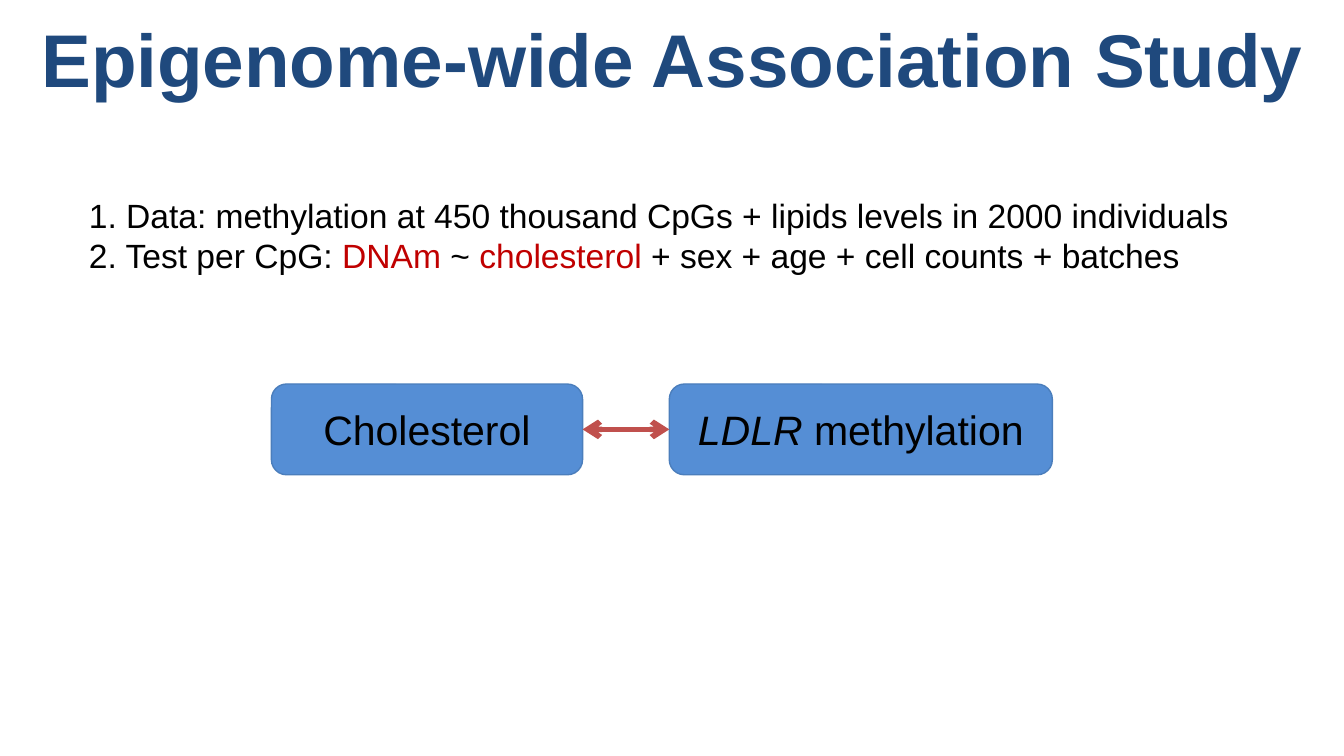
from dataclasses import dataclass

import lxml.etree
import pptx
import pptx.dml.color
import pptx.enum.shapes
import pptx.enum.text
import pptx.oxml.ns
import pptx.util

ALIGN = pptx.enum.text.PP_ALIGN
ANCHOR = pptx.enum.text.MSO_ANCHOR
SLIDE_WIDTH = pptx.util.Inches(10)
SLIDE_HEIGHT = SLIDE_WIDTH * 9 // 16


@dataclass(frozen=True)
class Theme:
    font: str = "Arial"
    heading: str = "1F497D"
    ink: str = "000000"
    accent: str = "C00000"
    box_fill: str = "558ED5"
    box_line: str = "4B7EBC"
    arrow: str = "C0504D"
    title_size: float = 40
    body_size: float = 18
    box_size: float = 22


@dataclass(frozen=True)
class Run:
    text: str
    color: str = ""
    italic: bool = False


@dataclass(frozen=True)
class Area:
    """A rectangle given in percent of the slide's width and height."""
    left: float
    top: float
    width: float
    height: float

    def emu(self) -> tuple[int, int, int, int]:
        return (int(self.left * SLIDE_WIDTH / 100), int(self.top * SLIDE_HEIGHT / 100),
                int(self.width * SLIDE_WIDTH / 100), int(self.height * SLIDE_HEIGHT / 100))


@dataclass(frozen=True)
class Variable:
    area: Area
    label: list[Run]


THEME = Theme()
BOX_TOP, BOX_HEIGHT = 50.8, 12
TITLE_AREA = Area(0, 0.4, 100, 14.5)
STEPS_AREA = Area(5.63, 24.9, 88.4, 12.6)
STEPS = [
    [Run("1. Data: methylation at 450 thousand CpGs + lipids levels in 2000 individuals")],
    [Run("2. Test per CpG: "), Run("DNAm ", THEME.accent), Run("~ "),
     Run("cholesterol ", THEME.accent), Run("+ sex + age + cell counts + batches")],
]
CHOLESTEROL = Variable(Area(20.2, BOX_TOP, 23.15, BOX_HEIGHT), [Run("Cholesterol")])
METHYLATION = Variable(Area(49.8, BOX_TOP, 28.5, BOX_HEIGHT),
                       [Run("LDLR", italic=True), Run(" methylation")])


def rgb(color: str) -> pptx.dml.color.RGBColor:
    return pptx.dml.color.RGBColor.from_string(color)


def write(shape, paragraphs: list[list[Run]], *, size: float, color: str = THEME.ink,
          bold: bool = False, align=ALIGN.LEFT, anchor=ANCHOR.MIDDLE) -> None:
    frame = shape.text_frame
    frame.word_wrap = True
    frame.auto_size = pptx.enum.text.MSO_AUTO_SIZE.NONE
    frame.vertical_anchor = anchor
    for index, runs in enumerate(paragraphs):
        paragraph = frame.add_paragraph() if index else frame.paragraphs[0]
        paragraph.alignment = align
        for part in runs:
            run = paragraph.add_run()
            run.text = part.text
            run.font.name = THEME.font
            run.font.size = pptx.util.Pt(size)
            run.font.bold = bold
            run.font.italic = part.italic
            run.font.color.rgb = rgb(part.color or color)


def add_variable(slide, variable: Variable):
    box = slide.shapes.add_shape(
        pptx.enum.shapes.MSO_SHAPE.ROUNDED_RECTANGLE, *variable.area.emu())
    box.shadow.inherit = False
    box.fill.solid()
    box.fill.fore_color.rgb = rgb(THEME.box_fill)
    box.line.color.rgb = rgb(THEME.box_line)
    box.line.width = pptx.util.Pt(0.75)
    write(box, [variable.label], size=THEME.box_size, align=ALIGN.CENTER)
    return box


def add_association(slide, left_box, right_box) -> None:
    """Join two boxes side to side with a double-headed arrow."""
    arrow = slide.shapes.add_connector(pptx.enum.shapes.MSO_CONNECTOR.STRAIGHT, 0, 0, 0, 0)
    arrow.begin_connect(left_box, 3)
    arrow.end_connect(right_box, 1)
    arrow.line.color.rgb = rgb(THEME.arrow)
    arrow.line.width = pptx.util.Pt(3)
    line = arrow.line._get_or_add_ln()
    for end in ("a:headEnd", "a:tailEnd"):
        lxml.etree.SubElement(line, pptx.oxml.ns.qn(end), type="arrow")
    lxml.etree.SubElement(arrow._element.spPr, pptx.oxml.ns.qn("a:effectLst"))


def main() -> None:
    deck = pptx.Presentation()
    deck.slide_width, deck.slide_height = SLIDE_WIDTH, SLIDE_HEIGHT
    slide = deck.slides.add_slide(deck.slide_layouts.get_by_name("Title Only"))

    title = slide.shapes.title
    title.left, title.top, title.width, title.height = TITLE_AREA.emu()
    write(title, [[Run("Epigenome-wide Association Study")]], size=THEME.title_size,
          color=THEME.heading, bold=True, align=ALIGN.CENTER)

    cholesterol = add_variable(slide, CHOLESTEROL)
    methylation = add_variable(slide, METHYLATION)
    add_association(slide, cholesterol, methylation)

    steps = slide.shapes.add_textbox(*STEPS_AREA.emu())
    write(steps, STEPS, size=THEME.body_size, anchor=ANCHOR.TOP)
    deck.save("out.pptx")


if __name__ == "__main__":
    main()
